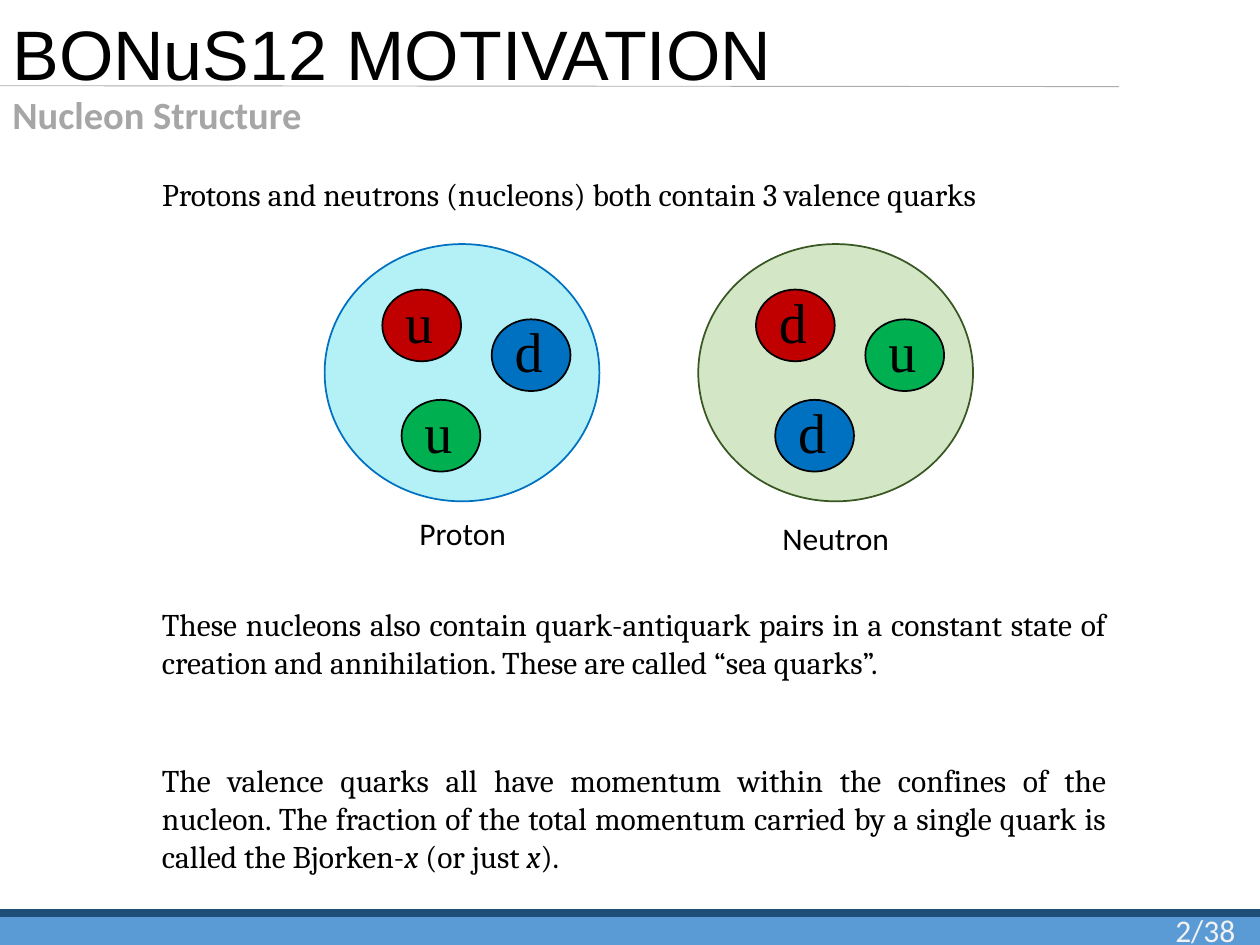
import pptx
import pptx.util
import pptx.dml.color
import pptx.enum.shapes
import pptx.enum.text
import pptx.oxml.ns

Pt = pptx.util.Pt
SHAPE = pptx.enum.shapes.MSO_SHAPE
ALIGN = pptx.enum.text.PP_ALIGN
ANCHOR = pptx.enum.text.MSO_ANCHOR

COLOURS = {
    "black": "000000", "subtitle": "A6A6A6", "page": "F2F2F2",
    "proton": "69E4EE", "proton edge": "0070C0",
    "neutron": "A9D18E", "neutron edge": "385723",
    "red": "C00000", "green": "00B050", "blue": "0070C0",
    "footer": "5B9BD5", "footer edge": "1F4E79", "rule": "AFABAB",
}


def rgb(name):
    return pptx.dml.color.RGBColor.from_string(COLOURS[name])


def add_text(paragraph, text, size=18, font="Cambria", colour="black",
             bold=False, italic=False):
    run = paragraph.add_run()
    run.text = text
    run.font.size = Pt(size)
    run.font.name = font
    run.font.color.rgb = rgb(colour)
    run.font.bold = bold
    run.font.italic = italic


class SlideBuilder:
    """Holds the shared style and the current slide."""
    line_width = 1

    def __init__(self, slide):
        self.slide = slide

    def text_box(self, left, top, width, height, align=ALIGN.JUSTIFY,
                 wrap=True, anchor=ANCHOR.TOP):
        box = self.slide.shapes.add_textbox(Pt(left), Pt(top), Pt(width), Pt(height))
        box.text_frame.word_wrap = wrap
        box.text_frame.vertical_anchor = anchor
        paragraph = box.text_frame.paragraphs[0]
        paragraph.alignment = align
        return paragraph

    def label(self, text, left, top, width, height, align=ALIGN.JUSTIFY,
              wrap=True, **style):
        add_text(self.text_box(left, top, width, height, align, wrap), text, **style)

    def shape(self, kind, left, top, width, height, fill, line, opacity=None):
        shape = self.slide.shapes.add_shape(kind, Pt(left), Pt(top), Pt(width), Pt(height))
        shape.shadow.inherit = False
        shape.fill.solid()
        shape.fill.fore_color.rgb = rgb(fill)
        if opacity is not None:
            fill_colour = shape.element.spPr.find(".//" + pptx.oxml.ns.qn("a:srgbClr"))
            alpha = pptx.oxml.ns.qn("a:alpha")
            fill_colour.makeelement(alpha)
            fill_colour.append(fill_colour.makeelement(alpha, {"val": str(opacity * 1000)}))
        shape.line.color.rgb = rgb(line)
        shape.line.width = Pt(self.line_width)

    def rule(self, x1, y1, x2, y2, colour, width):
        line = self.slide.shapes.add_connector(
            pptx.enum.shapes.MSO_CONNECTOR.STRAIGHT, Pt(x1), Pt(y1), Pt(x2), Pt(y2))
        line.line.color.rgb = rgb(colour)
        line.line.width = Pt(width)
        properties = line.element.spPr
        properties.append(properties.makeelement(pptx.oxml.ns.qn("a:effectLst")))

    def nucleon(self, left, top, name, quarks):
        self.shape(SHAPE.OVAL, left, top, 157, 147, name, name + " edge", opacity=50)
        for (dx, dy), (flavour, colour) in zip(QUARK_OFFSETS, quarks):
            x, y = left + dx, top + dy
            self.shape(SHAPE.OVAL, x, y, 45, 41, colour, "black")
            self.label(flavour, x + 6, y - 5, 58, 46, size=32, font="Times New Roman")


QUARK_OFFSETS = [(33, 26), (44, 89), (95.5, 43)]

deck = pptx.Presentation()
deck.slide_width, deck.slide_height = Pt(720), Pt(540)
builder = SlideBuilder(deck.slides.add_slide(deck.slide_layouts[6]))

# Title and subtitle
heading = builder.text_box(0, 0, 500, 90, ALIGN.LEFT, anchor=ANCHOR.MIDDLE)
heading.line_spacing = 0.9
add_text(heading, "BONuS12 MOTIVATION", size=40, font="Arial")
heading.add_line_break()
add_text(heading, "Nucleon Structure", size=22, font="Calibri",
         colour="subtitle", bold=True)

# Nucleons and their valence quarks
builder.label("Protons and neutrons (nucleons) both contain 3 valence quarks",
              85.5, 96.5, 527, 29, wrap=False)
builder.nucleon(185.5, 139.5, "proton", [("u", "red"), ("u", "green"), ("d", "blue")])
builder.nucleon(399, 139.5, "neutron", [("d", "red"), ("d", "blue"), ("u", "green")])
builder.label("Proton", 232.5, 290, 65, 29, wrap=False, font="Calibri")
builder.label("Neutron", 440, 293, 76, 29, wrap=False, font="Calibri")

# Explanations
builder.label("These nucleons also contain quark-antiquark pairs in a constant state of "
              "creation and annihilation. These are called “sea quarks”.",
              85.5, 342, 554, 51)
momentum = builder.text_box(85.5, 431.5, 554, 73)
add_text(momentum, "The valence quarks all have momentum within the confines of the "
                   "nucleon. The fraction of the total momentum carried by a single "
                   "quark is called the Bjorken-")
add_text(momentum, "x ", italic=True)
add_text(momentum, "(or just ")
add_text(momentum, "x", italic=True)
add_text(momentum, ").")

# Footer, title rule and page number
builder.shape(SHAPE.RECTANGLE, 0, 523.5, 720, 16.5, "footer", "footer")
builder.shape(SHAPE.RECTANGLE, 0, 520, 720, 3.5, "footer edge", "footer edge")
builder.rule(-0.5, 49, 639.5, 49.5, "rule", 0.5)
builder.label("2/38", 664.5, 517, 49, 29, ALIGN.LEFT, wrap=False,
              font="Calibri", colour="page")

deck.save("out.pptx")
